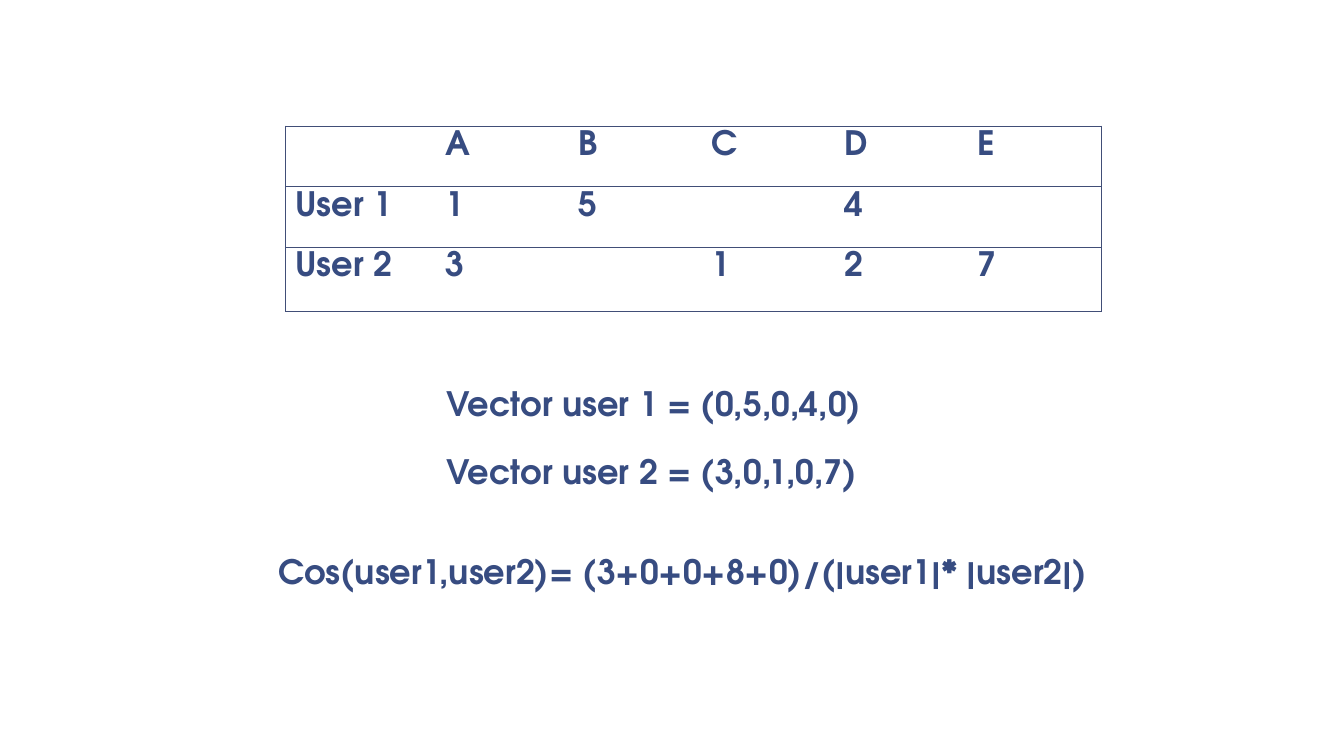
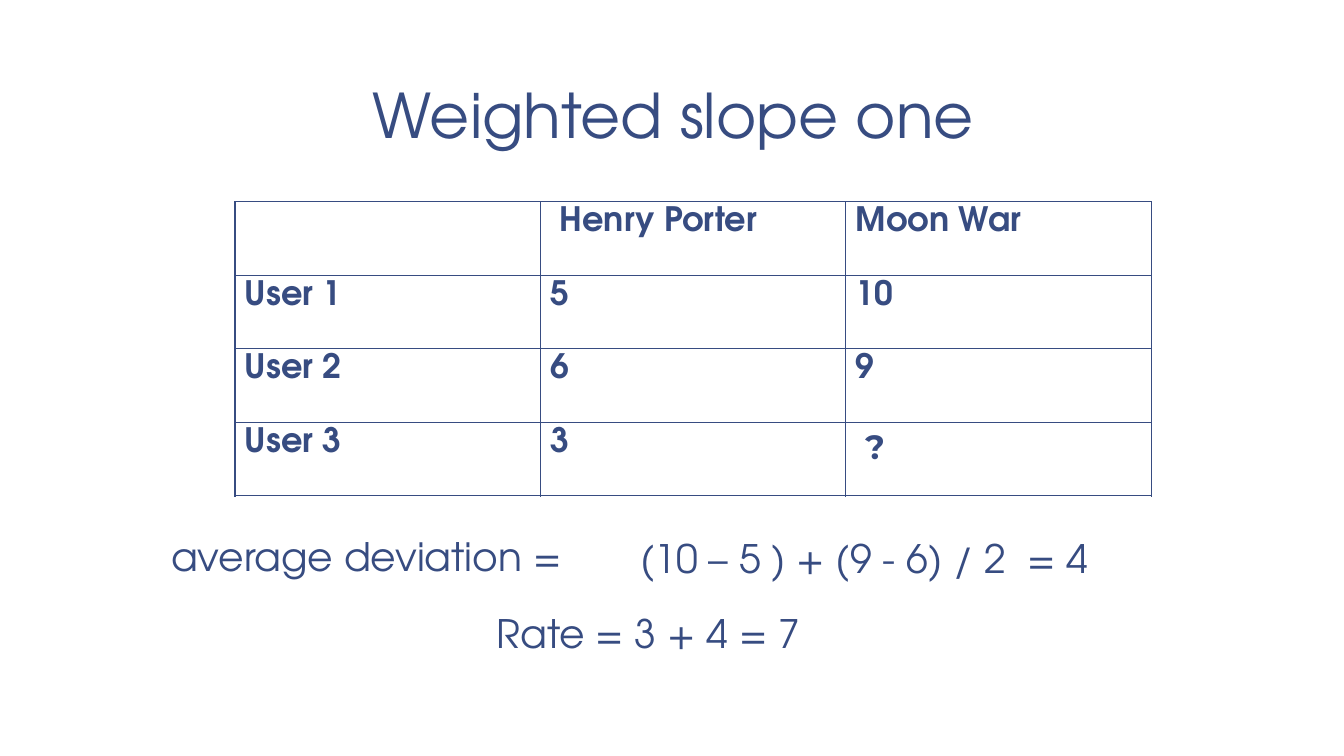
from lxml import etree
from pptx import Presentation
from pptx import util as u
from pptx.dml.color import RGBColor
from pptx.enum import text
from pptx.oxml.ns import qn

NAVY = RGBColor(0x37, 0x4C, 0x81)
SLATE = RGBColor(0x41, 0x4E, 0x77)
WHITE = RGBColor(0xFF, 0xFF, 0xFF)
FONT = "TeX Gyre Adventor"
SYMBOL_FONT = "Montserrat"
STRONG = {"size": u.Pt(24), "bold": True}
FORMULA = {"size": u.Pt(28), "bold": False}
TITLE = {"size": u.Pt(44), "bold": False}


def write(frame, words, style, font=FONT):
    para = frame.paragraphs[0]
    span = para.add_run()
    span.text = words
    for name, value in {"name": font, **style}.items():
        setattr(span.font, name, value)
    span.font.color.rgb = NAVY
    return para


def add_line(page, words, left, top, width, height, style):
    box = page.shapes.add_textbox(*map(u.Inches, (left, top, width, height)))
    box.text_frame.word_wrap = True
    write(box.text_frame, words, style)


def add_title(page, words, left, top, width, height):
    title = page.shapes.title
    place = {"left": left, "top": top, "width": width, "height": height}
    for name, value in place.items():
        setattr(title, name, u.Inches(value))
    frame = title.text_frame
    margins = {"margin_left": 0.13, "margin_right": 0.13,
               "margin_top": 0.07, "margin_bottom": 0.07}
    for name, value in margins.items():
        setattr(frame, name, u.Inches(value))
    frame.word_wrap = True
    frame.auto_size = text.MSO_AUTO_SIZE.NONE
    frame.vertical_anchor = text.MSO_ANCHOR.BOTTOM
    para = write(frame, words, TITLE)
    para.alignment = text.PP_ALIGN.CENTER
    para.line_spacing = 0.85


def set_borders(cell, sides, color, points):
    """Draw the named sides (of "LRTB") and clear the others."""
    properties = cell._tc.get_or_add_tcPr()
    for side in "LRTB":
        line = etree.SubElement(properties, qn(f"a:ln{side}"), w=str(u.Pt(points)))
        if side in sides:
            fill = etree.SubElement(line, qn("a:solidFill"))
            etree.SubElement(fill, qn("a:srgbClr"), val=str(color))
        else:
            etree.SubElement(line, qn("a:noFill"))


def add_grid(page, rows, left, top, widths, heights, color, points, inner_columns):
    """Add a ruled table; inner_columns turns on the lines between columns."""
    frame = page.shapes.add_table(
        len(rows), len(widths), u.Inches(left), u.Inches(top),
        u.Inches(sum(widths)), u.Inches(sum(heights)))
    table = frame.table
    table.first_row = table.horz_banding = False
    for column, width in zip(table.columns, widths):
        column.width = u.Inches(width)
    for row, height in zip(table.rows, heights):
        row.height = u.Inches(height)
    last = len(widths) - 1
    for r, values in enumerate(rows):
        for c, value in enumerate(values):
            cell = table.cell(r, c)
            sides = "TB"
            if inner_columns or c == 0:
                sides += "L"
            if inner_columns or c == last:
                sides += "R"
            set_borders(cell, sides, color, points)
            cell.fill.background()
            if value:
                font = SYMBOL_FONT if value == "?" else FONT
                write(cell.text_frame, value, STRONG, font)
    return table


def new_page(deck, layout):
    page = deck.slides.add_slide(deck.slide_layouts.get_by_name(layout))
    page.background.fill.solid()
    page.background.fill.fore_color.rgb = WHITE
    return page


def cosine_slide(deck):
    page = new_page(deck, "Blank")
    ratings = [["", *"ABCDE"],
               ["User 1", "1", "5", "", "4", ""],
               ["User 2", "3", "", "1", "2", "7"]]
    add_grid(page, ratings, 2.83, 1.25, [1.49] + [1.32] * 5, [0.6, 0.6, 0.64],
             SLATE, 0.5, inner_columns=False)
    for words, left, top, width in (
            ("Vector user 1 = (0,5,0,4,0)", 4.33, 3.75, 7.84),
            ("Vector user 2 = (3,0,1,0,7)", 4.33, 4.42, 7.84),
            ("Cos(user1,user2)= (3+0+0+8+0)/(|user1|* |user2|)", 2.66, 5.42, 8.92)):
        add_line(page, words, left, top, width, 0.5, STRONG)


def slope_slide(deck):
    page = new_page(deck, "Title Only")
    add_title(page, "Weighted slope one", 3.14, 0.04, 7.08, 1.53)
    ratings = [["", "Henry Porter", "Moon War"],
               ["User 1", "5", "10"],
               ["User 2", "6", "9"],
               ["User 3", "3", "?"]]
    table = add_grid(page, ratings, 2.33, 2, [3.03] * 3, [0.73] * 4,
                     NAVY, 1, inner_columns=True)
    for row, column in ((0, 1), (3, 2)):
        table.cell(row, column).margin_left = u.Inches(0.19)
    for words, left, top, width in (
            ("average deviation =", 1.6, 5.23, 4.65),
            ("(10 – 5 ) + (9 - 6) / 2  = 4", 6.25, 5.25, 5.25),
            ("Rate = 3 + 4 = 7", 4.83, 6, 5.25)):
        add_line(page, words, left, top, width, 0.57, FORMULA)


def main():
    deck = Presentation()
    deck.slide_width, deck.slide_height = u.Inches(13.33), u.Inches(7.5)
    cosine_slide(deck)
    slope_slide(deck)
    deck.save("out.pptx")


if __name__ == "__main__":
    main()
